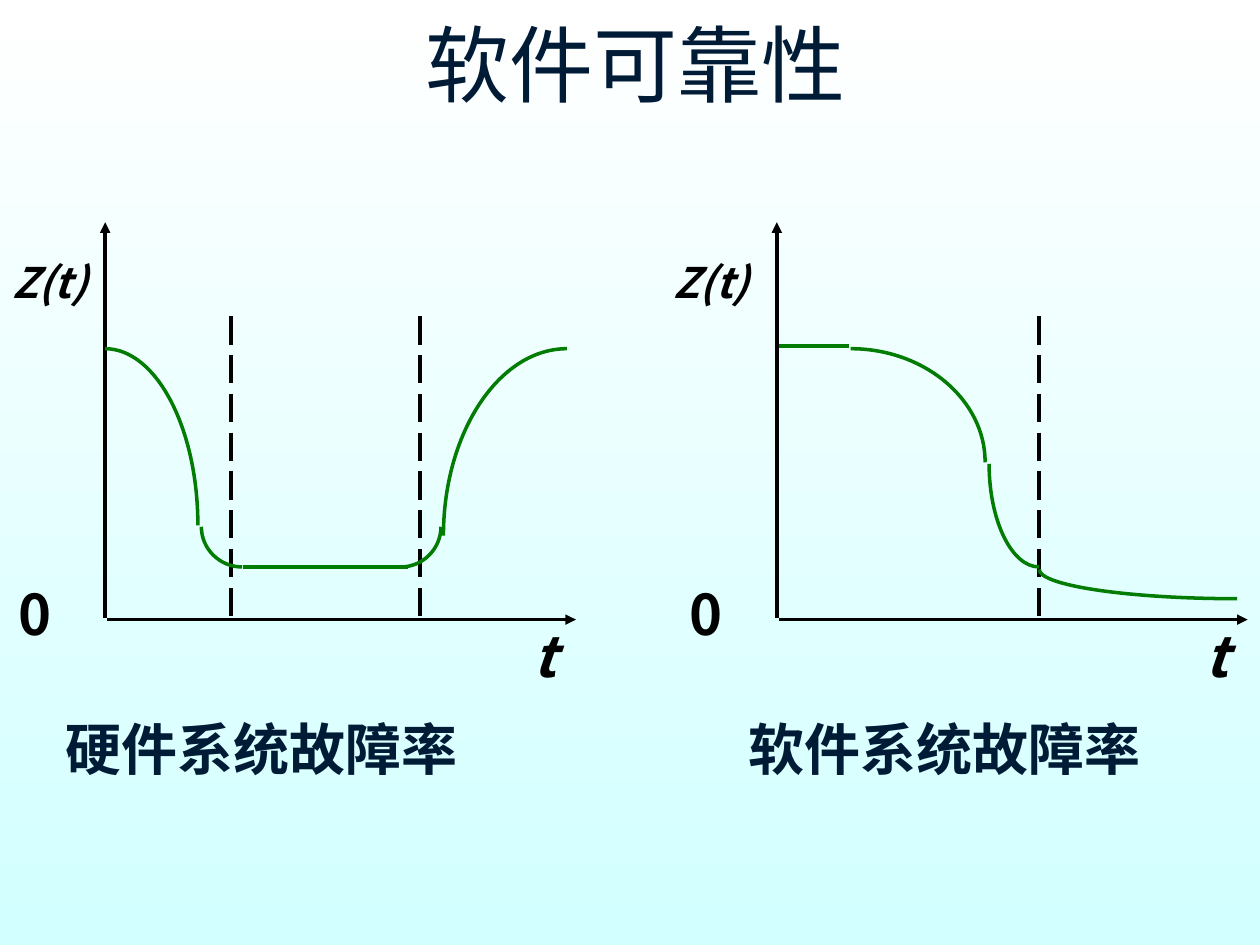
from lxml.etree import SubElement
from pptx import Presentation
from pptx.dml.color import RGBColor
from pptx.enum.dml import MSO_LINE_DASH_STYLE as Dash
from pptx.enum.shapes import MSO_CONNECTOR as Connector
from pptx.enum.text import MSO_ANCHOR as Anchor, MSO_AUTO_SIZE as AutoSize, PP_ALIGN as Align
from pptx.oxml.ns import qn
from pptx.util import Cm, Pt

TITLE = "软件可靠性"
FONT = "Noto Sans CJK SC"
INK, NAVY, GREEN = "000000", "001B36", "037C03"
BACKGROUND = ("FFFFFF", "D2FFFF")
AXIS_TOP, AXIS_BOTTOM, TIME_AXIS, PHASE_TOP = 4.48, 12.45, 12.49, 6.38
ROUNDNESS = 0.55

PLOTS = [
    {
        "caption": ("硬件系统故障率", 1.07),
        "origin": 2.12,
        "rate_left": 0,
        "phases": [4.66, 8.47],
        "level": (4.9, 8.23, 11.43),
        "arcs": [
            ((2.12, 7.03), (3.99, 10.59)),
            ((4.88, 11.43), (4.06, 10.62)),
            ((8.08, 11.43), (8.89, 10.62)),
            ((11.43, 7.03), (8.94, 10.8)),
        ],
    },
    {
        "caption": ("软件系统故障率", 14.83),
        "origin": 15.66,
        "rate_left": 13.33,
        "phases": [20.95],
        "level": (15.7, 17.12, 6.98),
        "arcs": [
            ((17.15, 7.03), (19.86, 9.32)),
            ((20.95, 11.43), (19.94, 9.35)),
            ((24.94, 12.07), (20.95, 11.48)),
        ],
    },
]


def rgb(value):
    return RGBColor.from_string(value)


def style_text(paragraph, size, color, bold=False, italic=False):
    font = paragraph.font
    font.size, font.bold, font.italic = Pt(size), bold, italic
    font.color.rgb = rgb(color)
    font.name = FONT
    defaults = paragraph._p.pPr.find(qn("a:defRPr"))
    SubElement(defaults, qn("a:ea")).set("typeface", FONT)


def add_label(slide, text, box, size, color=INK, italic=False):
    frame = slide.shapes.add_textbox(*map(Cm, box)).text_frame
    frame.word_wrap = False
    frame.auto_size = AutoSize.SHAPE_TO_FIT_TEXT
    label = frame.paragraphs[0]
    label.text = text
    style_text(label, size, color, bold=True, italic=italic)


def add_line(slide, start, end, color=INK, dash=None, arrow=None):
    connector = slide.shapes.add_connector(Connector.STRAIGHT, *map(Cm, start + end))
    connector.line.color.rgb = rgb(color)
    connector.line.width = Pt(2)
    if dash:
        connector.line.dash_style = dash
    properties = connector._element.spPr
    if arrow:
        SubElement(properties.find(qn("a:ln")), qn(arrow)).set("type", "triangle")
    SubElement(properties, qn("a:effectLst"))


def add_arc(slide, flat_end, steep_end):
    """Draw a quarter ellipse, level at flat_end and upright at steep_end."""
    (flat_x, flat_y), (steep_x, steep_y) = flat_end, steep_end
    builder = slide.shapes.build_freeform(Cm(flat_x), Cm(flat_y))
    builder.add_line_segments([(Cm(steep_x), Cm(steep_y))], close=False)
    arc = builder.convert_to_shape()
    chord = next(arc._element.iter(qn("a:lnTo")))
    outline = chord.getparent()
    outline.remove(chord)
    curve = SubElement(outline, qn("a:cubicBezTo"))
    for x, y in (
        (flat_x + (steep_x - flat_x) * ROUNDNESS, flat_y),
        (steep_x, steep_y + (flat_y - steep_y) * ROUNDNESS),
        steep_end,
    ):
        point = SubElement(curve, qn("a:pt"))
        point.set("x", str(Cm(x) - arc.left))
        point.set("y", str(Cm(y) - arc.top))
    arc.fill.background()
    arc.line.color.rgb = rgb(GREEN)
    arc.line.width = Pt(2)
    arc.shadow.inherit = False


def add_plot(slide, plot):
    origin = plot["origin"]
    add_line(slide, (origin, AXIS_TOP), (origin, AXIS_BOTTOM), arrow="a:headEnd")
    add_line(slide, (origin + 0.04, TIME_AXIS), (origin + 9.49, TIME_AXIS), arrow="a:tailEnd")
    caption, caption_left = plot["caption"]
    add_label(slide, caption, (caption_left, 14.27, 8.45, 1.6), 32, NAVY)
    add_label(slide, "0", (origin - 2, 11.56, 1.19, 1.6), 32)
    add_label(slide, "t", (origin + 8.37, 12.41, 1.19, 1.6), 32, italic=True)
    add_label(slide, "Z(t)", (plot["rate_left"], 5.04, 2.54, 1.27), 24, italic=True)
    for x in plot["phases"]:
        add_line(slide, (x, PHASE_TOP), (x, AXIS_BOTTOM), dash=Dash.LONG_DASH)
    for flat_end, steep_end in plot["arcs"]:
        add_arc(slide, flat_end, steep_end)
    left, right, y = plot["level"]
    add_line(slide, (left, y), (right, y), GREEN)


def main():
    deck = Presentation()
    deck.slide_width, deck.slide_height = Cm(25.4), Cm(19.05)
    slide = deck.slides.add_slide(deck.slide_layouts[5])

    backdrop = slide.background.fill
    backdrop.gradient()
    backdrop.gradient_angle = 270
    for stop, color in zip(backdrop.gradient_stops, BACKGROUND):
        stop.color.rgb = rgb(color)

    title = slide.shapes.title
    title.left, title.top, title.width, title.height = map(Cm, (0.21, 0, 25.2, 2.54))
    title.text_frame.vertical_anchor = Anchor.MIDDLE
    heading = title.text_frame.paragraphs[0]
    heading.text = TITLE
    heading.alignment = Align.CENTER
    style_text(heading, 48, NAVY)

    for plot in PLOTS:
        add_plot(slide, plot)
    deck.save("out.pptx")


if __name__ == "__main__":
    main()
